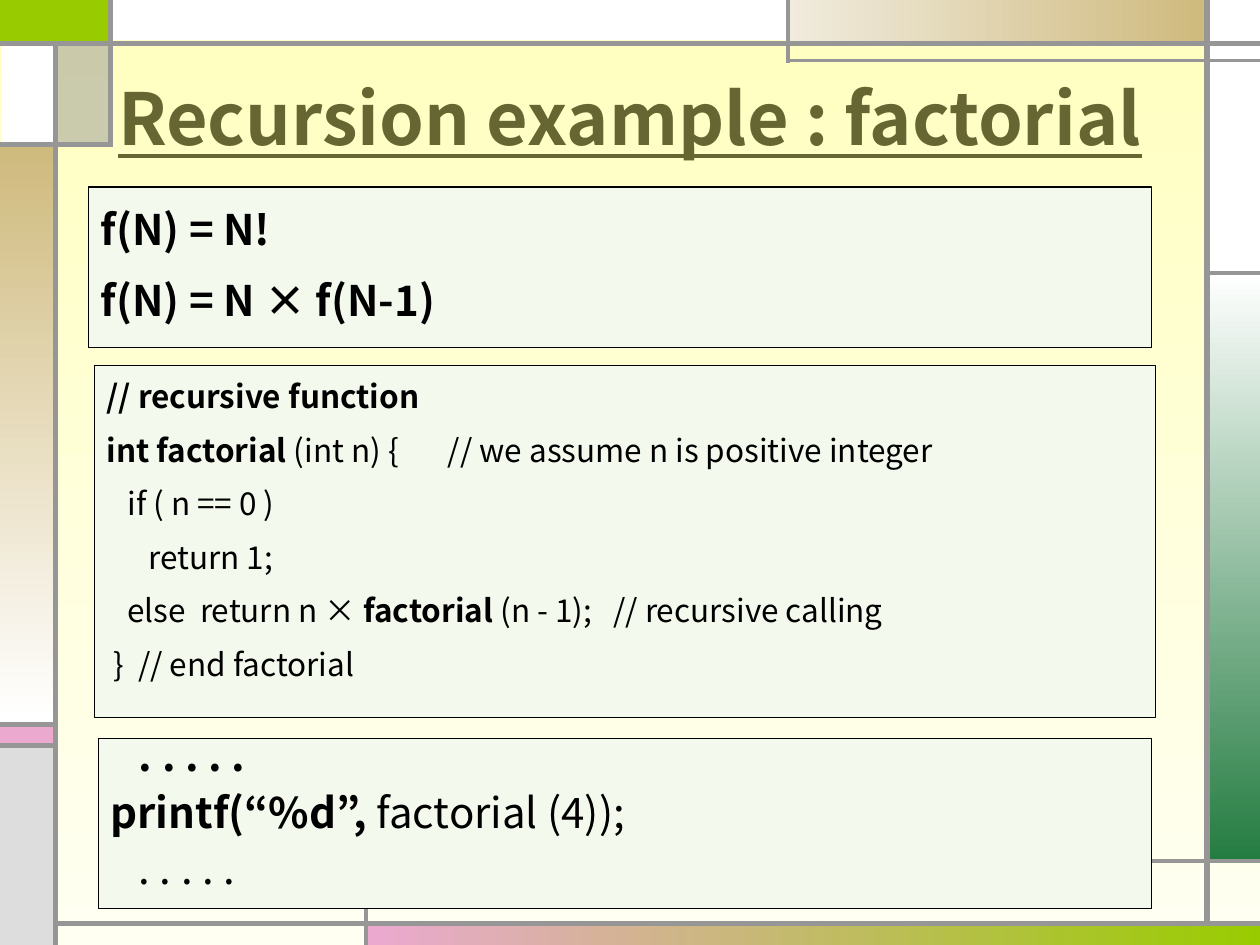
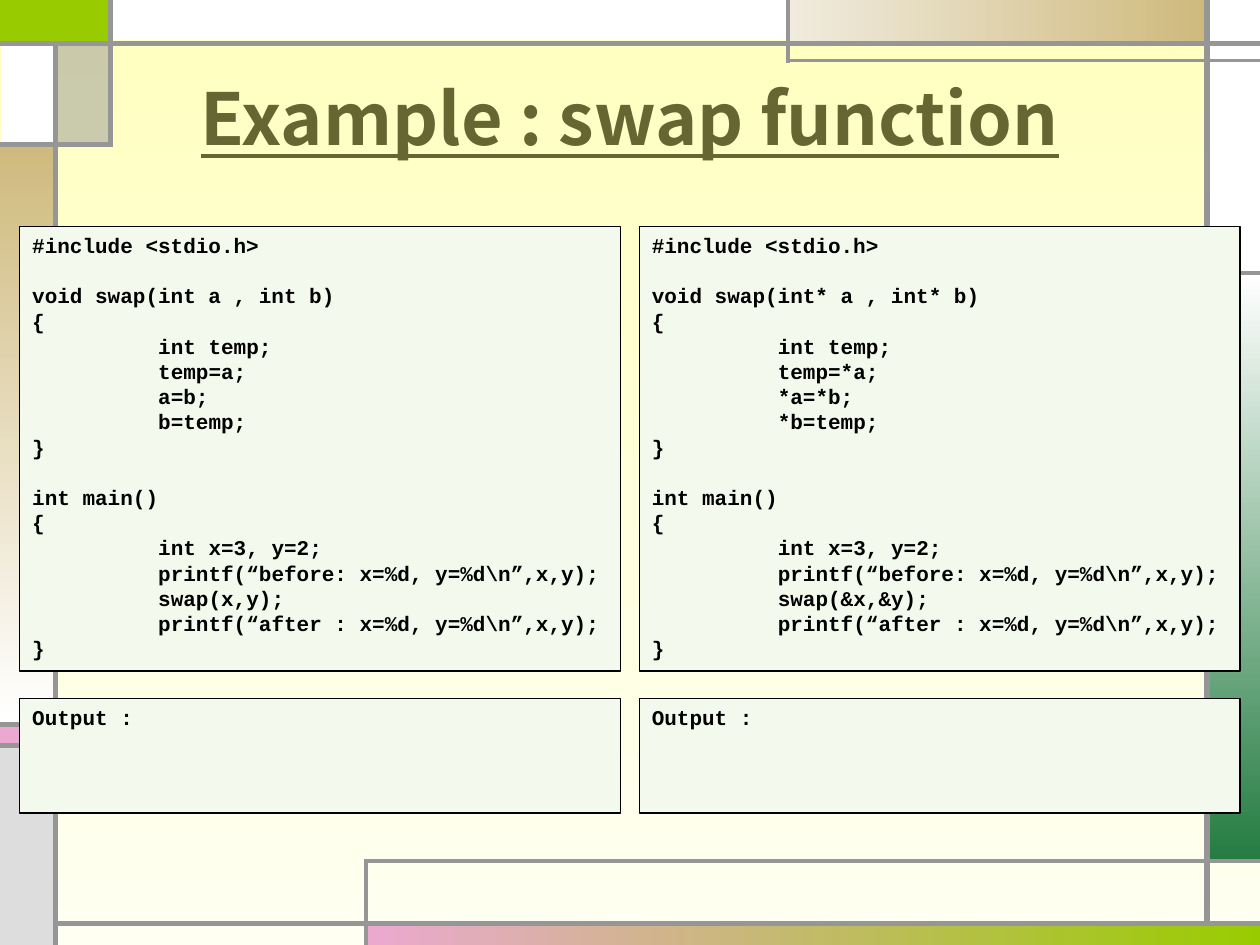
from lxml import etree
from pptx import Presentation
from pptx.dml.color import RGBColor
from pptx.enum.shapes import MSO_CONNECTOR, MSO_SHAPE
from pptx.enum.text import MSO_ANCHOR, PP_ALIGN
from pptx.oxml.ns import qn
from pptx.util import Cm, Pt

RECT = MSO_SHAPE.RECTANGLE
STRAIGHT = MSO_CONNECTOR.STRAIGHT
TOP, MIDDLE = MSO_ANCHOR.TOP, MSO_ANCHOR.MIDDLE
LEFT, CENTER = PP_ALIGN.LEFT, PP_ALIGN.CENTER

W, H = 25.4, 19.05
SANS, MONO = "Noto Sans CJK KR", "Courier New"
COLORS = {
    "page_top": "FFFFBF", "page_bottom": "FFFFF2", "lime": "99CC00",
    "pink": "EBA9D0", "white": "FFFFFF", "green": "247C41",
    "silver": "DDDDDD", "cream": "F0EBDE", "sand": "CFBA7D",
    "grey": "969696", "title": "666633", "panel": "F4F9EE", "ink": "000000",
}
DOWN, ACROSS = 270, 0

TILES = [
    ((0, 0, 2.21, 0.86), "lime"),
    ((7.42, 18.62, 17.98, 0.43), ("pink", "lime", ACROSS)),
    ((24.33, 5.51, 1.07, 11.86), ("white", "green", DOWN)),
    ((0, 14.6, 1.07, 0.43), "pink"),
    ((0, 15.06, 1.07, 3.99), "silver"),
    ((24.33, 0, 1.07, 5.51), "white"),
    ((15.88, 0, 8.46, 0.84), ("cream", "sand", ACROSS)),
    ((1.17, 0.84, 1.07, 2.08), "grey"),
    ((0, 2.92, 1.07, 11.63), ("sand", "white", DOWN)),
    ((0.03, 0.84, 1.07, 2.08), "white"),
    ((2.18, 0, 13.69, 0.81), "white"),
]
THICK, THIN = 3, 2.25
RULES = [
    (1.12, H, 1.12, 0.84, THICK),
    (1.12, 18.62, W, 18.62, THICK),
    (24.33, 18.62, 24.33, 0, THICK),
    (0, 0.88, W, 0.88, THICK),
    (W, 1.22, 15.88, 1.22, THIN),
    (15.88, 1.27, 15.88, 0, THIN),
    (24.33, 5.51, W, 5.51, THIN),
    (2.23, 0, 2.23, 2.97, THICK),
    (2.18, 2.92, 0, 2.92, THICK),
    (7.37, H, 7.37, 17.32, THIN),
    (7.34, 17.35, W, 17.35, THIN),
    (1.17, 14.6, 0, 14.6, THICK),
    (1.17, 15.03, 0, 15.03, THICK),
]


def rgb(name):
    """Return the named colour."""
    return RGBColor.from_string(COLORS[name])


def paint(fill, look):
    """Apply a solid colour name or a (start, end, angle) gradient."""
    if isinstance(look, str):
        fill.solid()
        fill.fore_color.rgb = rgb(look)
        return
    fill.gradient()
    fill.gradient_angle = look[2]
    for stop, name in zip(fill.gradient_stops, look):
        stop.color.rgb = rgb(name)


def add_rect(s, box, look):
    """Add a plain rectangle without outline or shadow."""
    sp = s.shapes.add_shape(RECT, *map(Cm, box))
    sp.shadow.inherit = False
    sp.line.fill.background()
    paint(sp.fill, look)
    return sp


def add_rule(s, x1, y1, x2, y2, width):
    """Add one grey frame line."""
    line = s.shapes.add_connector(STRAIGHT, *map(Cm, (x1, y1, x2, y2)))
    line.line.color.rgb = rgb("grey")
    line.line.width = Pt(width)
    etree.SubElement(line._element.spPr, qn("a:effectLst"))


def add_frame(s):
    """Draw the coloured tiles and grey lines around the page."""
    for box, look in TILES:
        sp = add_rect(s, box, look)
        if look == "grey":
            clr = sp._element.spPr.find(".//" + qn("a:srgbClr"))
            etree.SubElement(clr, qn("a:alpha"), val="50000")
    for rule in RULES:
        add_rule(s, *rule)


def add_run(p, text, spread=0, color="ink", **fmt):
    """Add a run with font values and optional letter spacing in points."""
    r = p.add_run()
    r.text = text
    for key, value in fmt.items():
        setattr(r.font, key, value)
    r.font.color.rgb = rgb(color)
    if spread:
        r._r.get_or_add_rPr().set("spc", str(spread * 100))


def add_title(s, box, text):
    """Add the underlined, centred slide title."""
    tf = s.shapes.add_textbox(*map(Cm, box)).text_frame
    tf.word_wrap = True
    tf.vertical_anchor = MIDDLE
    p = tf.paragraphs[0]
    p.alignment = CENTER
    add_run(p, text, name=SANS, size=Pt(41), bold=True, underline=True, color="title")


def add_panel(s, box, lines, font, size, leading=1.2, margins=(0.13, 0.13)):
    """Add a bordered panel of (space before in ems, indent, runs) lines."""
    sp = add_rect(s, box, "panel")
    sp.line.color.rgb = rgb("ink")
    sp.line.width = Pt(0.75)
    tf = sp.text_frame
    values = {
        "word_wrap": True, "vertical_anchor": TOP,
        "margin_left": Cm(0.25), "margin_right": Cm(0.25),
        "margin_top": Cm(margins[0]), "margin_bottom": Cm(margins[1]),
    }
    for key, value in values.items():
        setattr(tf, key, value)
    for i, (before, indent, runs) in enumerate(lines):
        p = tf.add_paragraph() if i else tf.paragraphs[0]
        p.alignment = LEFT
        p.line_spacing = Pt(size * leading)
        p.space_before = Pt(size * before if i else 0)
        pPr = p._p.get_or_add_pPr()
        pPr.set("marL", "0")
        pPr.set("indent", str(Cm(indent)))
        for text, bold, *spread in runs:
            add_run(p, text, *spread, name=font, size=Pt(size), bold=bold)


def swap_code(star, amp):
    """Return blocks of the swap program as (indent level, text) lines."""
    return [
        [(0, "#include <stdio.h>")],
        [(0, f"void swap(int{star} a , int{star} b)"), (0, "{"), (1, "int temp;"),
         (1, f"temp={star}a;"), (1, f"{star}a={star}b;"), (1, f"{star}b=temp;"), (0, "}")],
        [(0, "int main()"), (0, "{"), (1, "int x=3, y=2;"),
         (1, "printf(“before: x=%d, y=%d\\n”,x,y);"), (1, f"swap({amp}x,{amp}y);"),
         (1, "printf(“after : x=%d, y=%d\\n”,x,y);"), (0, "}")],
    ]


def mono_lines(blocks):
    """Turn blocks of code into bold lines with one line of space between blocks."""
    return [(0 if i else 1.2, level * 2.54, [(text, True)])
            for block in blocks for i, (level, text) in enumerate(block)]


def add_program(s, box, blocks):
    """Add a code panel with its output panel below, in the given box."""
    x, y, w, h = box
    code_h, output_h = 8.97, 2.31
    add_panel(s, (x, y, w, code_h), mono_lines(blocks), MONO, 12)
    output = mono_lines([[(0, "Output :")]])
    add_panel(s, (x, y + h - output_h, w, output_h), output, MONO, 12)


def new_slide(prs, title):
    """Add a blank slide with the frame and a title."""
    s = prs.slides.add_slide(prs.slide_layouts[6])
    add_frame(s)
    add_title(s, (1.27, 0.76, 22.86, 3.18), title)
    return s


def factorial_slide(prs):
    """Build the slide on the recursive factorial."""
    s = new_slide(prs, "Recursion example : factorial")
    function = [
        (0.5, 0, [("// recursive function", True)]),
        (0.5, 0, [("int factorial", True), (" (int n) {", False), (" ", False, 24),
                  ("// we assume n is positive integer", False)]),
        (0.5, 0.42, [("if ( n == 0 )", False)]),
        (0.5, 0.84, [("return 1;", False)]),
        (0.5, 0.42, [("else", False), (" ", False, 4), ("return n × ", False),
                     ("factorial", True), (" (n - 1);", False), (" ", False, 8),
                     ("// recursive calling", False)]),
        (0.5, 0.14, [("}", False), (" ", False, 4), ("// end factorial", False)]),
    ]
    formula = [(0.5, 0, [(text, True)]) for text in ("f(N) = N!", "f(N) = N × f(N-1)")]
    call = [
        (0.5, 0.57, [(". . . . .", True)]),
        (0.5, 0, [("printf(“%d”,", True), (" factorial (4));", False)]),
        (0.5, 0.57, [(". . . . .", False)]),
    ]
    add_panel(s, (1.9, 7.37, 21.4, 7.09), function, SANS, 18, margins=(0.23, 0.33))
    add_panel(s, (1.78, 3.77, 21.44, 3.23), formula, SANS, 24, margins=(0.33, 0.33))
    add_panel(s, (1.98, 14.89, 21.23, 3.42), call, SANS, 24, leading=0.84)


def swap_slide(prs):
    """Build the slide comparing two swap functions."""
    s = new_slide(prs, "Example : swap function")
    for i, marks in enumerate([("", ""), ("*", "&")]):
        add_program(s, (0.4 + i * 12.49, 4.56, 12.11, 11.83), swap_code(*marks))


def main():
    """Build and save the presentation."""
    prs = Presentation()
    prs.slide_width, prs.slide_height = Cm(W), Cm(H)
    paint(prs.slide_master.background.fill, ("page_top", "page_bottom", DOWN))
    factorial_slide(prs)
    swap_slide(prs)
    prs.save("out.pptx")


main()
